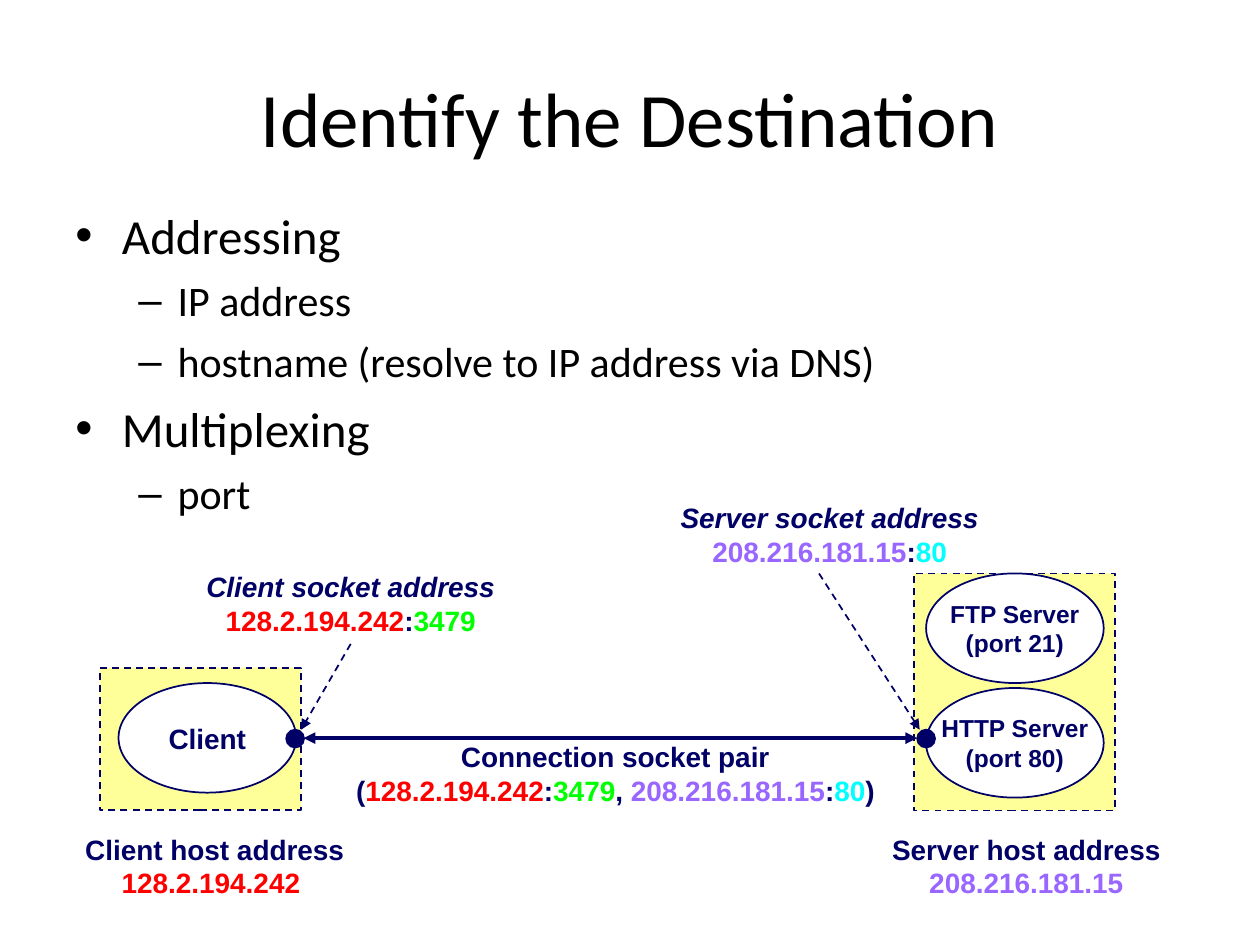
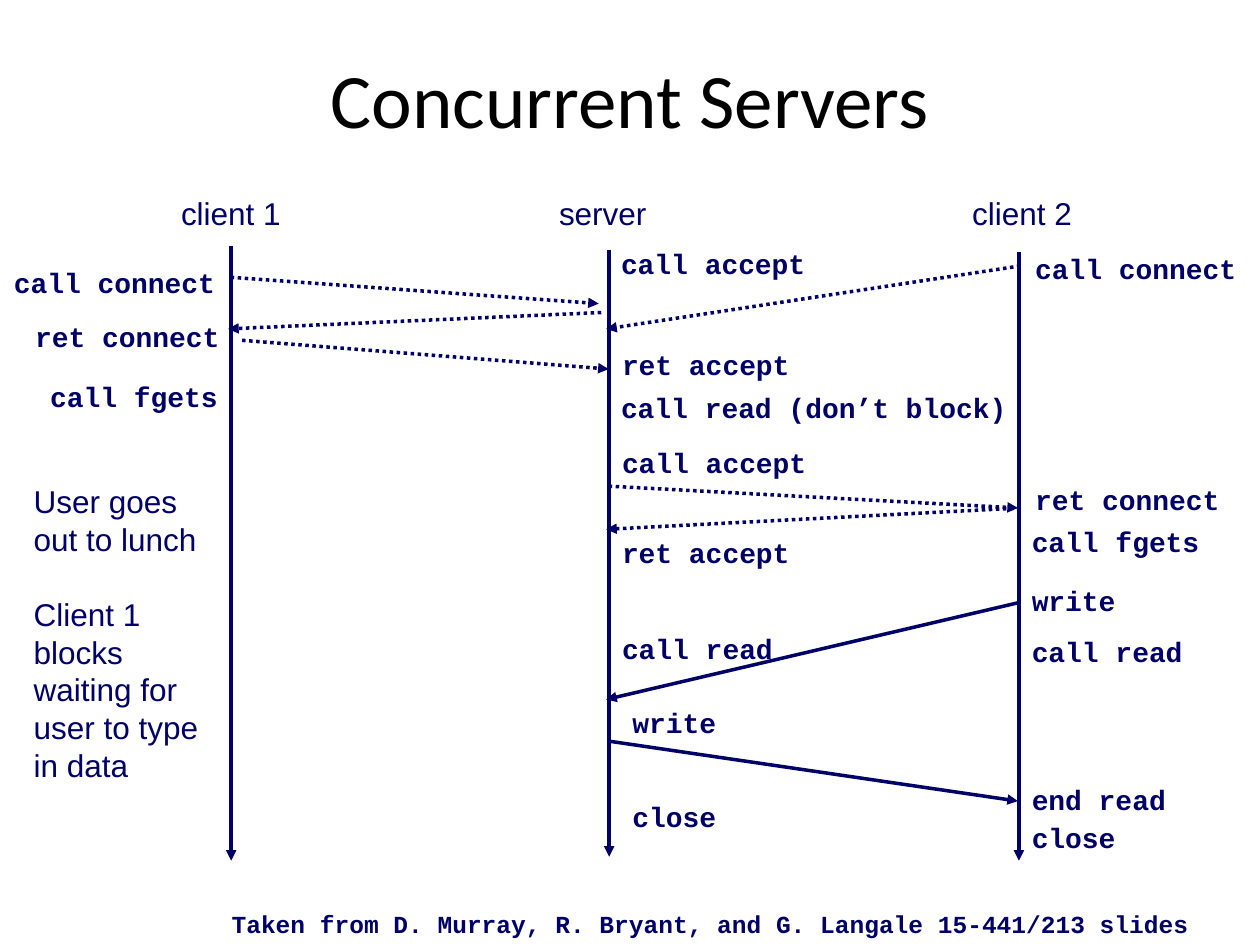
from dataclasses import dataclass

from lxml.etree import SubElement
from pptx import Presentation
from pptx.dml.color import RGBColor
from pptx.enum.dml import MSO_LINE
from pptx.enum.shapes import MSO_CONNECTOR, MSO_SHAPE
from pptx.enum.text import MSO_ANCHOR, PP_ALIGN
from pptx.oxml.ns import qn
from pptx.util import Cm, Pt


@dataclass(frozen=True)
class Theme:
    black: RGBColor = RGBColor(0, 0, 0)
    white: RGBColor = RGBColor(255, 255, 255)
    navy: RGBColor = RGBColor(0, 0, 0x66)
    host: RGBColor = RGBColor(0xFF, 0xFF, 0x99)
    client_ip: RGBColor = RGBColor(0xFF, 0, 0)
    client_port: RGBColor = RGBColor(0, 0xFF, 0)
    server_ip: RGBColor = RGBColor(0x99, 0x66, 0xFF)
    server_port: RGBColor = RGBColor(0, 0xFF, 0xFF)
    title: tuple = (("name", "Calibri"), ("size", Pt(44)))
    body: tuple = (("name", "Calibri"), ("size", Pt(28)))
    sub_body: tuple = (("name", "Calibri"), ("size", Pt(24)))
    caption: tuple = (("name", "Arial"), ("size", Pt(16)), ("bold", True))
    service: tuple = (("name", "Arial"), ("size", Pt(14)), ("bold", True))
    plain: tuple = (("name", "Arial"), ("size", Pt(18)))
    code: tuple = (("name", "Courier New"), ("size", Pt(16)), ("bold", True))
    credit: tuple = (("name", "Courier New"), ("size", Pt(14)), ("bold", True))


theme = Theme()


def write(shape, lines, style, align=PP_ALIGN.LEFT, **frame_format):
    """Fill a shape with lines, each a string or a list of (text, colour)."""
    frame = shape.text_frame
    for name, value in {"word_wrap": True, **frame_format}.items():
        setattr(frame, name, value)
    for index, line in enumerate(lines):
        para = frame.paragraphs[0] if index == 0 else frame.add_paragraph()
        para.alignment = align
        for text, colour in [(line, theme.navy)] if isinstance(line, str) else line:
            span = para.add_run()
            span.text = text
            span.font.color.rgb = colour
            for name, value in style:
                setattr(span.font, name, value)
    return shape


def draw_line(page, start, end, width, dash=None, ends=("tailEnd",)):
    """Draw a navy arrow between two points given in centimetres."""
    points = [Cm(value) for value in (*start, *end)]
    line = page.shapes.add_connector(MSO_CONNECTOR.STRAIGHT, *points)
    line.line.color.rgb = theme.navy
    line.line.width = Pt(width)
    if dash:
        line.line.dash_style = dash
    properties = line._element.spPr
    for end_name in ends:
        SubElement(properties.find(qn("a:ln")), qn(f"a:{end_name}"), type="triangle")
    SubElement(properties, qn("a:effectLst"))
    return line


deck = Presentation()
deck.slide_width, deck.slide_height = Cm(25.4), Cm(19.05)

# Pages and their titles
pages = []
for title, area, margins, spacing in (
    ("Identify the Destination", (1.27, 0.76, 22.86, 3.18), (0.25, 0.13), 1.0),
    ("Concurrent Servers", (2.77, 0.64, 19.86, 3.18), (0, 0), 0.65),
):
    page = deck.slides.add_slide(deck.slide_layouts[5])
    heading = page.shapes.title
    heading.left, heading.top, heading.width, heading.height = map(Cm, area)
    side, edge = map(Cm, margins)
    write(heading, [[(title, theme.black)]], theme.title, PP_ALIGN.CENTER,
          vertical_anchor=MSO_ANCHOR.MIDDLE,
          margin_left=side, margin_right=side, margin_top=edge, margin_bottom=edge)
    heading.text_frame.paragraphs[0].line_spacing = spacing
    pages.append(page)
address_page, server_page = pages

# Bulleted list
levels = (
    {"style": theme.body, "bullet": "•", "before": 7, "left": 0.94, "hang": 0.94},
    {"style": theme.sub_body, "bullet": "–", "before": 6, "left": 2.06, "hang": 0.79},
)
topics = (
    (0, "Addressing"),
    (1, "IP address"),
    (1, "hostname (resolve to IP address via DNS)"),
    (0, "Multiplexing"),
    (1, "port"),
)
box = address_page.shapes.add_textbox(Cm(1.27), Cm(4.01), Cm(22.86), Cm(6.55))
write(box, [[(text, theme.black)] for _, text in topics], theme.body)
for para, (depth, _) in zip(box.text_frame.paragraphs, topics):
    level = levels[depth]
    para.level = depth
    para.space_before = Pt(level["before"])
    for name, value in level["style"]:
        setattr(para.runs[0].font, name, value)
    properties = para._p.get_or_add_pPr()
    properties.set("marL", str(Cm(level["left"])))
    properties.set("indent", str(-Cm(level["hang"])))
    SubElement(properties, qn("a:buFont"), typeface="Arial")
    SubElement(properties, qn("a:buChar"), char=level["bullet"])

# Hosts, processes and socket dots
rectangle, oval = MSO_SHAPE.RECTANGLE, MSO_SHAPE.OVAL
process = (3.58, 2.21)
dot = (0.36, 0.36)
for kind, place, size, fill, lines, style in (
    (rectangle, (18.42, 11.56), (4.06, 4.78), theme.host, [], ()),
    (rectangle, (2.01, 13.46), (4.06, 2.87), theme.host, [], ()),
    (oval, (18.67, 11.56), process, theme.white, ["FTP Server", "(port 21)"], theme.service),
    (oval, (18.67, 13.87), process, theme.white, ["HTTP Server", "(port 80)"], theme.service),
    (oval, (2.39, 13.77), process, theme.white, ["Client"], theme.caption),
    (oval, (5.77, 14.71), dot, theme.navy, [], ()),
    (oval, (18.49, 14.71), dot, theme.navy, [], ()),
):
    shape = address_page.shapes.add_shape(kind, *map(Cm, place + size))
    shape.shadow.inherit = False
    shape.fill.solid()
    shape.fill.fore_color.rgb = fill
    shape.line.color.rgb = theme.navy
    shape.line.width = Pt(1)
    if kind == rectangle:
        shape.line.dash_style = MSO_LINE.DASH
    write(shape, lines, style, PP_ALIGN.CENTER,
          word_wrap=False, vertical_anchor=MSO_ANCHOR.MIDDLE)

# Address captions
client_ip = ("128.2.194.242", theme.client_ip)
server_ip = ("208.216.181.15", theme.server_ip)
colon = (":", theme.navy)
client_socket = [client_ip, colon, ("3479", theme.client_port)]
server_socket = [server_ip, colon, ("80", theme.server_port)]
socket_pair = [("(", theme.navy), *client_socket, (", ", theme.navy),
               *server_socket, (")", theme.navy)]
captions = {}
for label, value, left, top, width in (
    ("Connection socket pair", socket_pair, 6.68, 14.78, 11.45),
    ("Client socket address", client_socket, 3.66, 11.35, 6.82),
    ("Server socket address", server_socket, 13.13, 9.96, 7.19),
    ("Client host address", [client_ip, (" ", theme.client_ip)], 1.22, 16.64, 6.22),
    ("Server host address", [server_ip], 17.48, 16.64, 6.42),
):
    box = address_page.shapes.add_textbox(Cm(left), Cm(top), Cm(width), Cm(1.63))
    write(box, [label, value], theme.caption, PP_ALIGN.CENTER,
          vertical_anchor=MSO_ANCHOR.MIDDLE)
    box.text_frame.paragraphs[0].runs[0].font.italic = "socket address" in label
    captions[label] = box

# Connection and caption pointers
draw_line(address_page, (6.12, 14.88), (18.49, 14.88), 2.25, ends=("headEnd", "tailEnd"))
pointer = draw_line(address_page, (7.07, 12.98), (6.07, 14.71), 1, MSO_LINE.DASH)
pointer.begin_connect(captions["Client socket address"], 2)
draw_line(address_page, (16.51, 11.56), (18.54, 14.71), 1, MSO_LINE.DASH)

# Lifelines with their headings
for name, x, top, bottom, left in (
    ("client 1", 4.66, 4.95, 17.35, 3.4),
    ("server", 12.28, 5.03, 17.27, 11.02),
    ("client 2", 20.54, 5.08, 17.35, 19.35),
):
    draw_line(server_page, (x, top), (x, bottom), 2)
    box = server_page.shapes.add_textbox(Cm(left), Cm(3.78), Cm(3), Cm(1.02))
    write(box, [name], theme.plain)

# Messages: dotted while connecting, solid for data
dotted = MSO_LINE.ROUND_DOT
for start, end, dash in (
    ((4.65, 5.59), (12.07, 6.12), dotted),
    ((12.12, 6.3), (4.6, 6.63), dotted),
    ((4.88, 6.86), (12.27, 7.44), dotted),
    ((20.57, 5.36), (12.22, 6.63), dotted),
    ((12.27, 9.8), (20.52, 10.24), dotted),
    ((20.57, 10.24), (12.22, 10.67), dotted),
    ((20.57, 12.14), (12.22, 14.1), None),
    ((12.27, 14.94), (20.52, 16.15), None),
):
    draw_line(server_page, start, end, 2, dash)

# Calls beside the lifelines; the width follows the fixed-pitch text
for call, left, top in (
    ("call connect", 0.03, 5.23),
    ("ret connect", 0.46, 6.32),
    ("call fgets", 0.76, 7.52),
    ("call accept", 12.27, 4.85),
    ("ret accept", 12.29, 6.88),
    ("call read (don’t block)", 12.27, 7.75),
    ("call accept", 12.29, 8.86),
    ("ret accept", 12.29, 10.67),
    ("call read", 12.29, 12.6),
    ("write", 12.5, 14.1),
    ("close", 12.5, 16),
    ("call connect", 20.62, 4.95),
    ("ret connect", 20.62, 9.6),
    ("call fgets", 20.55, 10.44),
    ("write", 20.55, 11.63),
    ("call read", 20.55, 12.67),
    ("end read", 20.55, 15.65),
    ("close", 20.55, 16.41),
):
    width = 0.34 * len(call) + 0.65
    box = server_page.shapes.add_textbox(Cm(left), Cm(top), Cm(width), Cm(0.94))
    write(box, [call], theme.code)

# Side note
box = server_page.shapes.add_textbox(Cm(0.43), Cm(9.6), Cm(4.24), Cm(6.35))
note = ["User goes", "out to lunch", "Client 1 blocks", "waiting for user to type in data"]
write(box, note, theme.plain)
box.text_frame.paragraphs[2].space_before = Pt(21)

# Credit line
box = server_page.shapes.add_textbox(Cm(4.42), Cm(18.21), Cm(20.5), Cm(0.84))
write(box, ["Taken from D. Murray, R. Bryant, and G. Langale 15-441/213 slides"], theme.credit)

deck.save("out.pptx")
